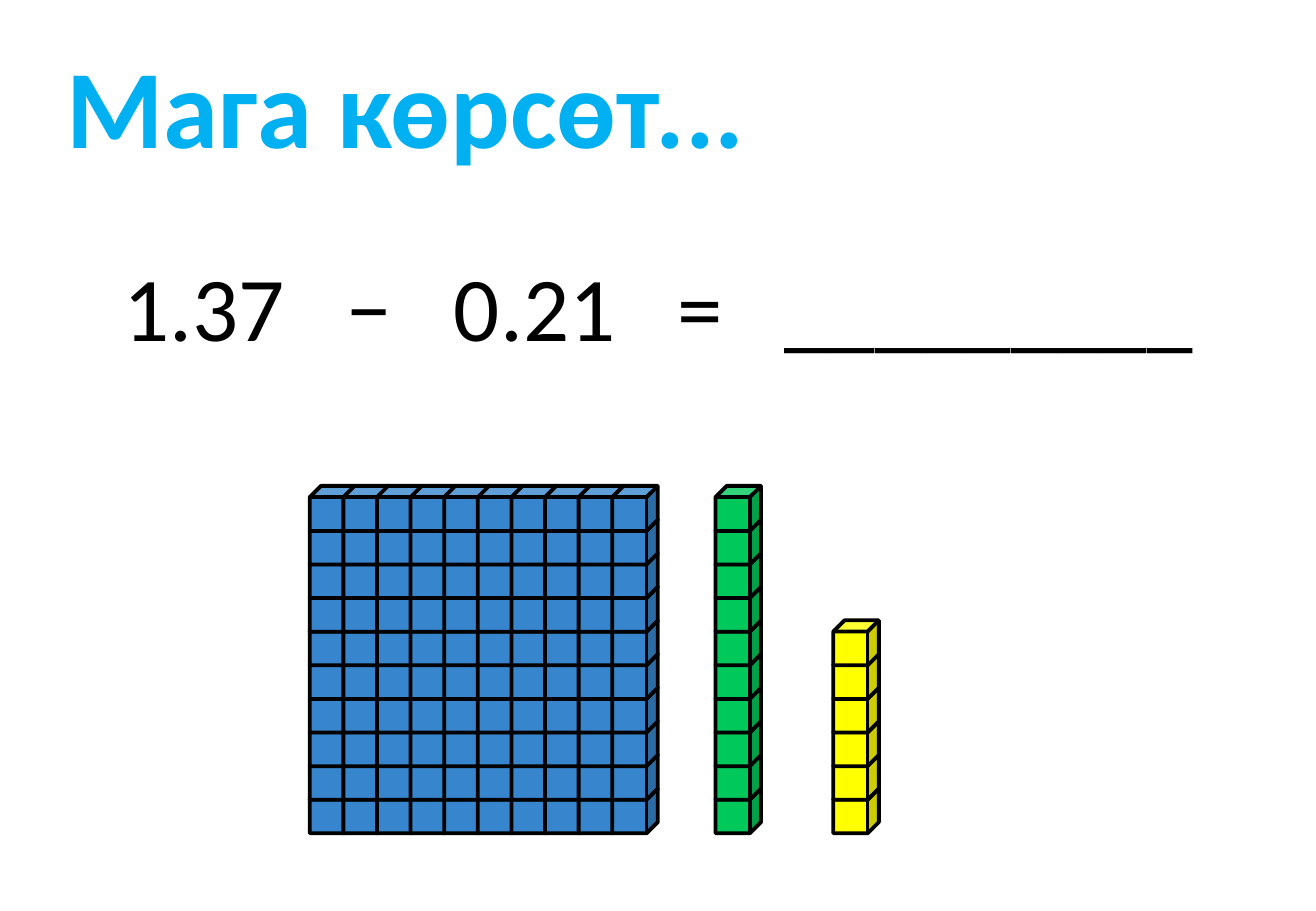
from dataclasses import dataclass

from lxml import etree
from pptx import Presentation
from pptx import util as u
from pptx.dml.color import RGBColor
from pptx.enum import shapes, text
from pptx.oxml.ns import qn


@dataclass(frozen=True)
class Theme:
    font: str = "Calibri"
    ink: str = "000000"
    heading: str = "00B0F0"
    ones: str = "3786CD"
    tenths: str = "00C85A"
    hundredths: str = "FFFF00"
    heading_size: float = 66
    sum_size: float = 54
    outline: float = 2.25


THEME = Theme()
CUBE_WIDTH = 27
CUBE_HEIGHT = 26.7
CUBE_STEP = 19.92
BASE_TOP = 467.3


def add_text(slide, words, left, top, width, height, *, size, color,
             bold=False, inset=7.2, tabs=()):
    box = slide.shapes.add_textbox(u.Pt(left), u.Pt(top), u.Pt(width), u.Pt(height))
    frame = box.text_frame
    frame.word_wrap = True
    frame.auto_size = text.MSO_AUTO_SIZE.SHAPE_TO_FIT_TEXT
    frame.margin_left = u.Pt(inset)
    paragraph = frame.paragraphs[0]
    paragraph.alignment = text.PP_ALIGN.LEFT
    if tabs:
        stops = etree.SubElement(paragraph._p.get_or_add_pPr(), qn("a:tabLst"))
        for position in tabs:
            etree.SubElement(stops, qn("a:tab"), pos=str(u.Pt(position)), algn="l")
    paragraph.font.size = u.Pt(size)
    run = paragraph.add_run()
    run.text = words
    run.font.name = THEME.font
    run.font.size = u.Pt(size)
    run.font.bold = bold
    run.font.color.rgb = RGBColor.from_string(color)


def add_cube(parent, left, top, color):
    cube = parent.add_shape(shapes.MSO_SHAPE.CUBE, u.Pt(left), u.Pt(top),
                            u.Pt(CUBE_WIDTH), u.Pt(CUBE_HEIGHT))
    cube.shadow.inherit = False
    cube.fill.solid()
    cube.fill.fore_color.rgb = RGBColor.from_string(color)
    cube.line.color.rgb = RGBColor.from_string(THEME.ink)
    cube.line.width = u.Pt(THEME.outline)


def add_block(slide, left, columns, rows, color):
    block = slide.shapes.add_group_shape()
    for column in range(columns):
        for row in range(rows):
            add_cube(block.shapes, left + column * CUBE_STEP,
                     BASE_TOP - row * CUBE_STEP, color)


def main():
    deck = Presentation()
    deck.slide_width, deck.slide_height = u.Pt(780), u.Pt(540)
    slide = deck.slides.add_slide(deck.slide_layouts[6])

    add_text(slide, "1.37\t−\t0.21\t=\t_________", 66.2, 144.7, 680, 72.7,
             size=THEME.sum_size, color=THEME.ink,
             tabs=(132.3, 195.8, 328.1, 391.6))
    add_block(slide, 493.9, 1, 6, THEME.hundredths)
    add_block(slide, 183.6, 10, 10, THEME.ones)
    add_block(slide, 424.1, 1, 10, THEME.tenths)
    add_text(slide, "Мага көрсөт...", 17.3, 18.7, 542.9, 87.1,
             size=THEME.heading_size, color=THEME.heading, bold=True, inset=22.1)

    deck.save("out.pptx")


if __name__ == "__main__":
    main()
